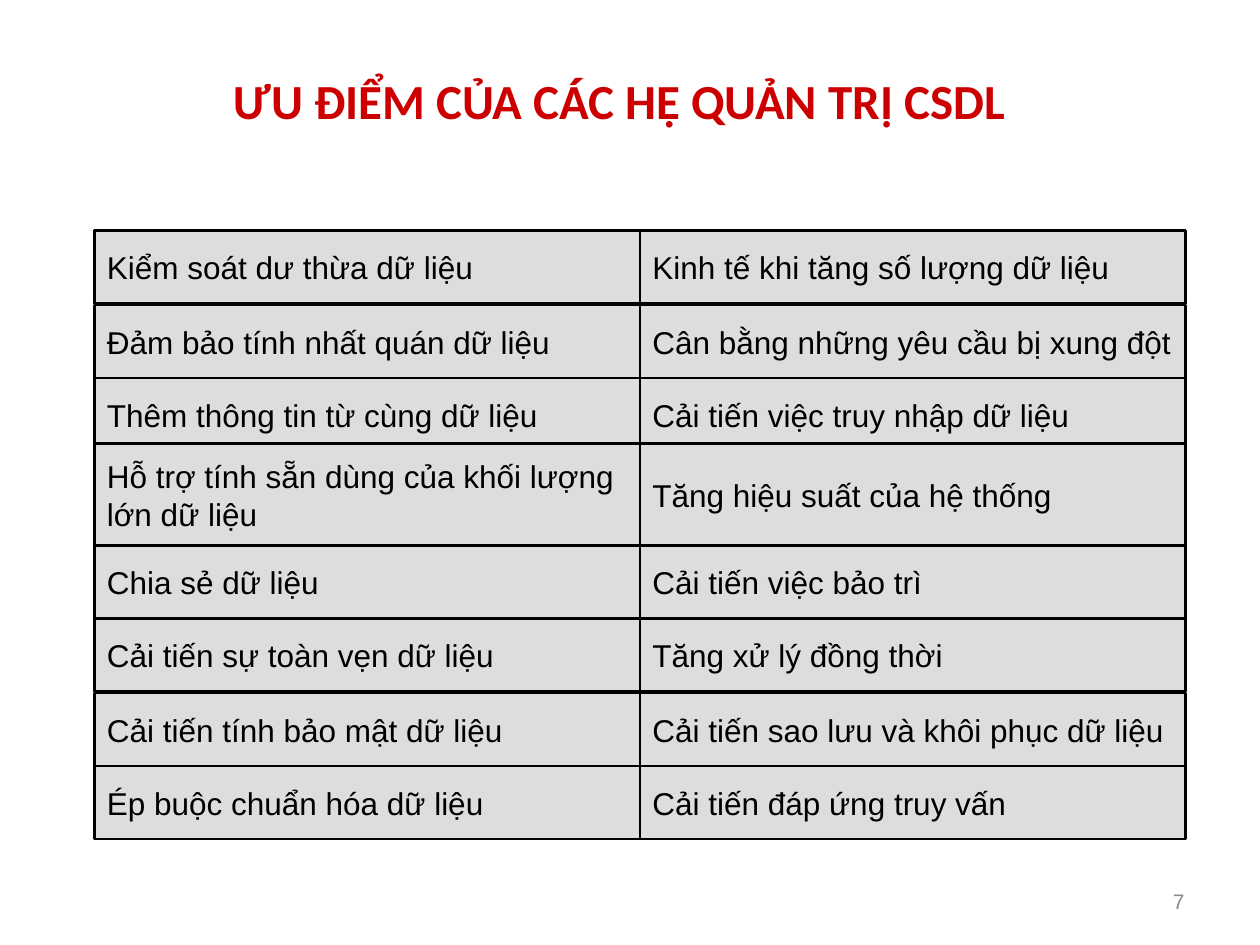
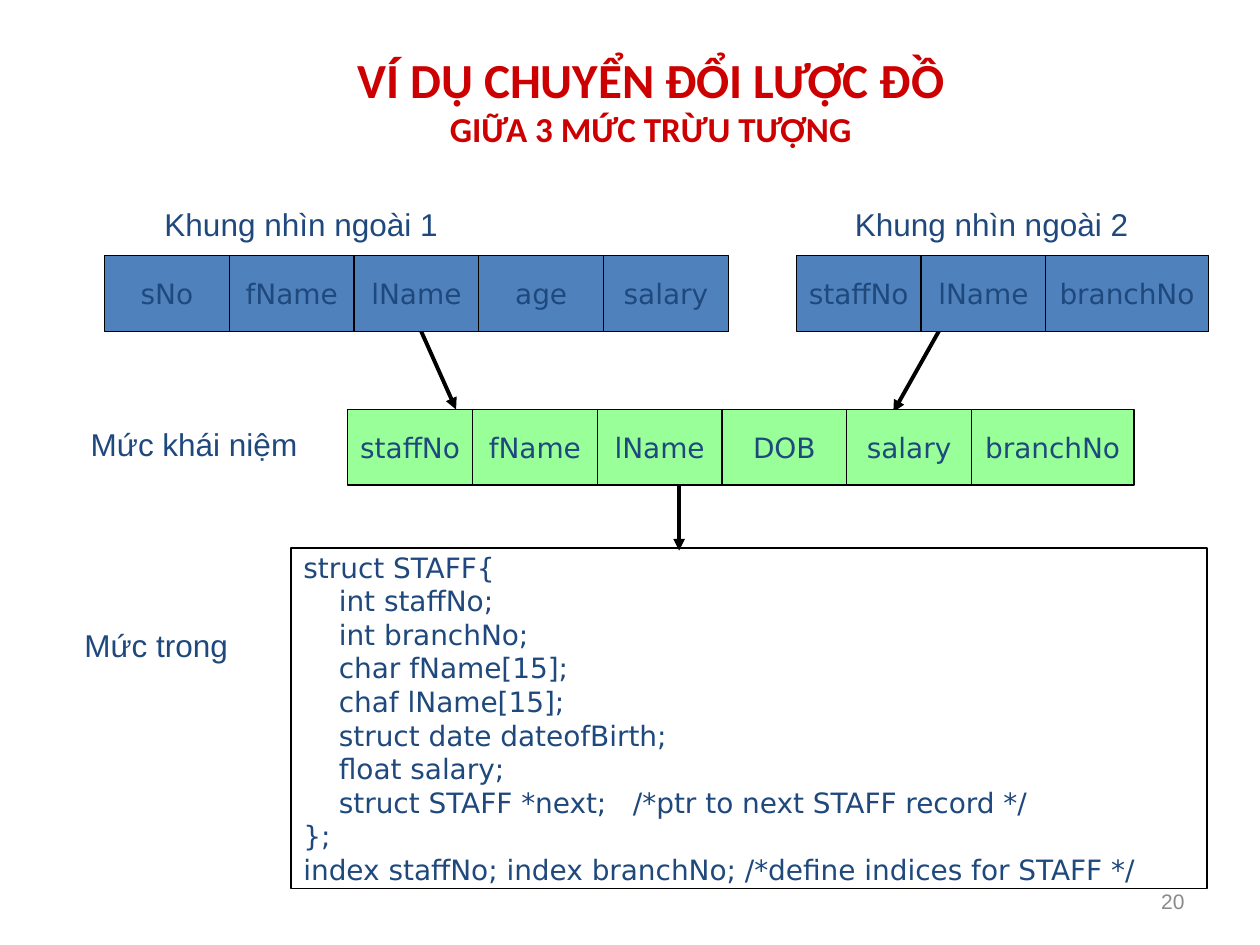
from dataclasses import dataclass
from itertools import accumulate
from typing import NamedTuple

from lxml.etree import SubElement
from pptx import Presentation
from pptx.dml.color import RGBColor as Rgb
from pptx.enum.shapes import MSO_CONNECTOR as Connector, MSO_SHAPE as Shape
from pptx.enum.text import MSO_ANCHOR as Anchor, MSO_AUTO_SIZE as AutoSize, PP_ALIGN as Align
from pptx.oxml.ns import qn
from pptx.util import Emu, Pt

EMU_PER_PX = 9144
TITLE_ONLY_LAYOUT = 5

COLORS = {
    "title": "CC0000",
    "black": "000000",
    "navy": "1F497D",
    "number": "898989",
    "benefit": "DDDDDD",
    "external": "4F81BD",
    "conceptual": "99FF99",
}


class Area(NamedTuple):
    left: int
    top: int
    width: int
    height: int


@dataclass(frozen=True)
class TextStyle:
    size: float
    font: str
    color: str
    bold: bool = False
    align: Align = Align.LEFT
    wrap: bool = False


@dataclass(frozen=True)
class BoxStyle:
    text: TextStyle
    line_width: float
    fill: str | None = None


class BenefitRow(NamedTuple):
    top: int
    left_text: str
    right_text: str
    height: int = 58


class Record(NamedTuple):
    left: int
    top: int
    style: BoxStyle
    fields: tuple[str, ...]


class Label(NamedTuple):
    left: int
    top: int
    text: str


class Arrow(NamedTuple):
    start_x: int
    start_y: int
    end_x: int
    end_y: int


TITLE = TextStyle(28, "Calibri", "title", bold=True, align=Align.CENTER, wrap=True)
SUBTITLE_SIZE = 20
NUMBER = TextStyle(12, "Arial", "number", align=Align.RIGHT, wrap=True)
LABEL = TextStyle(18, "Arial", "navy", align=Align.CENTER)
FIELD = TextStyle(16, "DejaVu Sans", "navy", align=Align.CENTER)
CODE = TextStyle(16, "DejaVu Sans", "navy")

BENEFIT_BOX = BoxStyle(TextStyle(18, "Arial", "black"), 1.5, "benefit")
EXTERNAL_BOX = BoxStyle(FIELD, 0.75, "external")
CONCEPTUAL_BOX = BoxStyle(FIELD, 0.75, "conceptual")
CODE_BOX = BoxStyle(CODE, 0.75)

NUMBER_AREA = Area(717, 695, 233, 40)
CODE_AREA = Area(231, 435, 727, 270)
BENEFIT_LEFT, BENEFIT_WIDTH = 75, 433
FIELD_WIDTH, FIELD_HEIGHT = 99, 60
WIDE_FIELDS = {"branchNo": 129}
LABEL_WIDTH, LABEL_HEIGHT = 198, 40

BENEFITS = (
    BenefitRow(183, "Kiểm soát dư thừa dữ liệu", "Kinh tế khi tăng số lượng dữ liệu"),
    BenefitRow(242, "Đảm bảo tính nhất quán dữ liệu", "Cân bằng những yêu cầu bị xung đột"),
    BenefitRow(300, "Thêm thông tin từ cùng dữ liệu", "Cải tiến việc truy nhập dữ liệu"),
    BenefitRow(352, "Hỗ trợ tính sẵn dùng của khối lượng\nlớn dữ liệu",
               "Tăng hiệu suất của hệ thống", 81),
    BenefitRow(433, "Chia sẻ dữ liệu", "Cải tiến việc bảo trì"),
    BenefitRow(491, "Cải tiến sự toàn vẹn dữ liệu", "Tăng xử lý đồng thời"),
    BenefitRow(550, "Cải tiến tính bảo mật dữ liệu", "Cải tiến sao lưu và khôi phục dữ liệu"),
    BenefitRow(608, "Ép buộc chuẩn hóa dữ liệu", "Cải tiến đáp ứng truy vấn"),
)

RECORDS = (
    Record(83, 203, EXTERNAL_BOX, ("sNo", "fName", "lName", "age", "salary")),
    Record(632, 203, EXTERNAL_BOX, ("staffNo", "lName", "branchNo")),
    Record(276, 325, CONCEPTUAL_BOX,
           ("staffNo", "fName", "lName", "DOB", "salary", "branchNo")),
)

LABELS = (
    Label(140, 158, "Khung nhìn ngoài 1"),
    Label(688, 158, "Khung nhìn ngoài 2"),
    Label(55, 332, "Mức khái niệm"),
    Label(25, 492, "Mức trong"),
)

ARROWS = (
    Arrow(539, 367, 539, 437),
    Arrow(771, 217, 709, 327),
    Arrow(320, 231, 362, 325),
)

STAFF_CODE = """struct STAFF{
    int staffNo;
    int branchNo;
    char fName[15];
    chaf lName[15];
    struct date dateofBirth;
    float salary;
    struct STAFF *next;   /*ptr to next STAFF record */
};
index staffNo; index branchNo; /*define indices for STAFF */"""


def px(length: int) -> Emu:
    return Emu(length * EMU_PER_PX)


def rgb(name: str) -> Rgb:
    return Rgb.from_string(COLORS[name])


def set_all(target, values: dict) -> None:
    for name, value in values.items():
        setattr(target, name, value)


def place(area: Area) -> dict:
    return {name: px(length) for name, length in area._asdict().items()}


def format_span(span, style: TextStyle, size: float) -> None:
    set_all(span.font, {"size": Pt(size), "name": style.font, "bold": style.bold})
    span.font.color.rgb = rgb(style.color)


def write_text(box, text: str, style: TextStyle) -> None:
    frame = box.text_frame
    set_all(frame, {"word_wrap": style.wrap, "vertical_anchor": Anchor.MIDDLE,
                    "auto_size": AutoSize.NONE})
    for index, line in enumerate(text.split("\n")):
        para = frame.add_paragraph() if index else frame.paragraphs[0]
        para.alignment = style.align
        span = para.add_run()
        span.text = line
        format_span(span, style, style.size)


def add_text(page, area: Area, text: str, style: TextStyle) -> None:
    write_text(page.shapes.add_textbox(*place(area).values()), text, style)


def add_box(page, area: Area, text: str, style: BoxStyle) -> None:
    box = page.shapes.add_shape(Shape.RECTANGLE, *place(area).values())
    box.shadow.inherit = False
    if style.fill:
        box.fill.solid()
        box.fill.fore_color.rgb = rgb(style.fill)
    else:
        box.fill.background()
    box.line.color.rgb = rgb("black")
    box.line.width = Pt(style.line_width)
    write_text(box, text, style.text)


def add_arrow(page, arrow: Arrow) -> None:
    connector = page.shapes.add_connector(Connector.STRAIGHT, *map(px, arrow))
    connector.line.color.rgb = rgb("black")
    connector.line.width = Pt(2.25)
    properties = connector._element.spPr
    SubElement(properties.find(qn("a:ln")), qn("a:tailEnd"), type="triangle")
    SubElement(properties, qn("a:effectLst"))


def add_record(page, record: Record) -> None:
    widths = [WIDE_FIELDS.get(field, FIELD_WIDTH) for field in record.fields]
    lefts = accumulate(widths, initial=record.left)
    for field, left, width in zip(record.fields, lefts, widths):
        add_box(page, Area(left, record.top, width, FIELD_HEIGHT), field, record.style)


def add_page(deck, area: Area, title: str, subtitle: str = ""):
    page = deck.slides.add_slide(deck.slide_layouts[TITLE_ONLY_LAYOUT])
    heading = page.shapes.title
    set_all(heading, place(area))
    write_text(heading, title, TITLE)
    if subtitle:
        para = heading.text_frame.paragraphs[0]
        para.add_line_break()
        span = para.add_run()
        span.text = subtitle
        format_span(span, TITLE, SUBTITLE_SIZE)
    return page


def add_benefits_page(deck) -> None:
    page = add_page(deck, Area(8, 17, 967, 125), "ƯU ĐIỂM CỦA CÁC HỆ QUẢN TRỊ CSDL")
    for row in BENEFITS:
        for column, text in enumerate((row.left_text, row.right_text)):
            left = BENEFIT_LEFT + column * BENEFIT_WIDTH
            add_box(page, Area(left, row.top, BENEFIT_WIDTH, row.height), text, BENEFIT_BOX)
    add_text(page, NUMBER_AREA, "7", NUMBER)


def add_schema_page(deck) -> None:
    page = add_page(deck, Area(33, 0, 967, 158),
                    "VÍ DỤ CHUYỂN ĐỔI LƯỢC ĐỒ", "GIỮA 3 MỨC TRỪU TƯỢNG")
    for arrow in ARROWS:
        add_arrow(page, arrow)
    for label in LABELS:
        add_text(page, Area(label.left, label.top, LABEL_WIDTH, LABEL_HEIGHT),
                 label.text, LABEL)
    add_box(page, CODE_AREA, STAFF_CODE, CODE_BOX)
    for record in RECORDS:
        add_record(page, record)
    add_text(page, NUMBER_AREA, "20", NUMBER)


def main() -> None:
    deck = Presentation()
    set_all(deck, {"slide_width": px(1000), "slide_height": px(750)})
    add_benefits_page(deck)
    add_schema_page(deck)
    deck.save("out.pptx")


if __name__ == "__main__":
    main()
